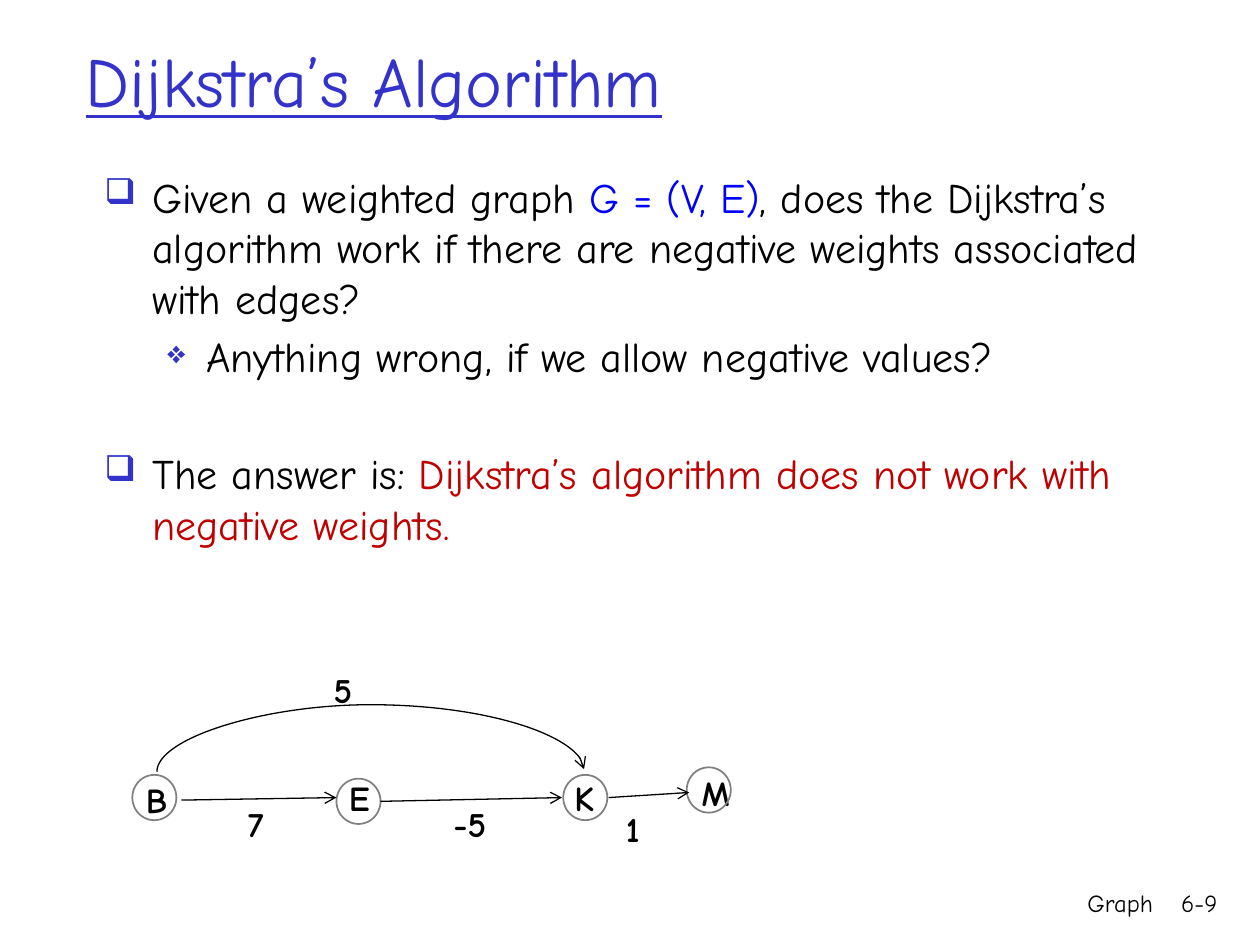
from lxml.etree import SubElement
from pptx import Presentation
from pptx.dml.color import RGBColor
from pptx.enum.shapes import MSO_CONNECTOR, MSO_SHAPE
from pptx.enum.text import MSO_ANCHOR, MSO_AUTO_SIZE, PP_ALIGN
from pptx.oxml.ns import qn
from pptx.util import Emu, Pt

PX = 9144  # 100 px to the inch
FONT = "Comic Neue"
BLACK = RGBColor(0x00, 0x00, 0x00)
INDIGO = RGBColor(0x33, 0x33, 0xCC)
BLUE = RGBColor(0x00, 0x00, 0xFF)
RED = RGBColor(0xC0, 0x00, 0x00)
GRAY = RGBColor(0x80, 0x80, 0x80)

NODE_W, NODE_H = 35, 36
LABEL_H = 44


def px(*lengths):
    return [Emu(length * PX) for length in lengths]


def add_run(paragraph, text, size, color=BLACK, bold=False):
    run = paragraph.add_run()
    run.text = text
    run.font.name = FONT
    run.font.size = Pt(size)
    run.font.bold = bold
    run.font.color.rgb = color
    return run


def set_bullet(paragraph, char, percent, margin, hanging):
    props = paragraph._p.get_or_add_pPr()
    props.set("marL", str(margin * PX))
    props.set("indent", str(-hanging * PX))
    color = SubElement(props, qn("a:buClr"))
    SubElement(color, qn("a:srgbClr"), val=str(INDIGO))
    SubElement(props, qn("a:buSzPct"), val=str(percent * 1000))
    SubElement(props, qn("a:buChar"), char=char)


def add_title(slide, left, top, width, height):
    title = slide.shapes.title
    title.left, title.top, title.width, title.height = px(left, top, width, height)
    frame = title.text_frame
    frame.vertical_anchor = MSO_ANCHOR.MIDDLE
    paragraph = frame.paragraphs[0]
    paragraph.alignment = PP_ALIGN.LEFT
    add_run(paragraph, "Dijkstra’s Algorithm", 40, INDIGO).font.underline = True


def add_question(slide, left, top, width, height):
    # Bullet style: character, size in percent, margin, hanging indent
    main = ("❑", 85, 38, 38)
    sub = ("❖", 75, 81, 31)
    points = [
        (main, 4.8, [("Given a weighted graph ", BLACK), ("G = (V, E)", BLUE),
                     (", does the Dijkstra’s algorithm work if there are negative "
                      "weights associated with edges?", BLACK)]),
        (sub, 4.8, [("Anything wrong, if we allow negative values?", BLACK)]),
        (main, 38, [("The answer is: ", BLACK),
                    ("Dijkstra’s algorithm does not work with negative weights.", RED)]),
    ]
    frame = slide.shapes.add_textbox(*px(left, top, width, height)).text_frame
    frame.word_wrap = True
    for i, (bullet, space, runs) in enumerate(points):
        paragraph = frame.add_paragraph() if i else frame.paragraphs[0]
        paragraph.space_before = Pt(space)
        set_bullet(paragraph, *bullet)
        for text, color in runs:
            add_run(paragraph, text, 24, color)


def add_footer(slide, left, top, height):
    for text, offset, width in [("Graph", 0, 317), ("6-9", 300, 68)]:
        box = slide.shapes.add_textbox(*px(left + offset, top, width, height))
        box.text_frame.word_wrap = True
        paragraph = box.text_frame.paragraphs[0]
        paragraph.alignment = PP_ALIGN.RIGHT
        add_run(paragraph, text, 14)


def add_label(slide, text, left, top, width):
    frame = slide.shapes.add_textbox(*px(left, top, width, LABEL_H)).text_frame
    frame.word_wrap = False
    frame.auto_size = MSO_AUTO_SIZE.SHAPE_TO_FIT_TEXT
    add_run(frame.paragraphs[0], text, 20, bold=True)


def add_node(slide, left, top):
    node = slide.shapes.add_shape(MSO_SHAPE.OVAL, *px(left, top, NODE_W, NODE_H))
    node.shadow.inherit = False
    node.fill.background()
    node.line.color.rgb = GRAY
    node.line.width = Pt(1)


def add_edge(slide, kind, *ends):
    edge = slide.shapes.add_connector(kind, *px(*ends))
    edge.line.color.rgb = BLACK
    edge.line.width = Pt(0.75)
    SubElement(edge.line._get_or_add_ln(), qn("a:tailEnd"), type="arrow")
    SubElement(edge._element.spPr, qn("a:effectLst"))
    return edge


def add_arc(slide, x1, y1, x2, y2, rise):
    # The connector is laid out upright about its centre, then turned by 90°
    span, drop = x2 - x1, y1 - y2
    center_x, center_y = (x1 + x2) // 2, (y1 + y2) // 2
    right, bottom = center_x + drop // 2, center_y + span // 2
    arc = add_edge(slide, MSO_CONNECTOR.CURVE,
                   right, bottom, right - drop, bottom - span)
    arc._element.spPr.find(qn("a:xfrm")).set("rot", str(90 * 60000))
    guides = arc._element.spPr.find(qn("a:prstGeom")).get_or_add_avLst()
    SubElement(guides, qn("a:gd"), name="adj1", fmla=f"val {rise * 100000 // drop}")


def add_graph(slide, left, top):
    # Node letter, circle position, label position and width
    nodes = [
        ("B", 0, 89, 1, 87, 38),
        ("E", 162, 92, 162, 85, 39),
        ("K", 342, 89, 341, 85, 37),
        ("M", 440, 83, 442, 81, 45),
    ]
    for letter, x, y, label_x, label_y, label_w in nodes:
        add_label(slide, letter, left + label_x, top + label_y, label_w)
        add_node(slide, left + x, top + y)

    # Straight edges
    for x1, y1, x2, y2 in [(39, 109, 162, 107), (197, 110, 341, 107),
                           (378, 107, 442, 103)]:
        add_edge(slide, MSO_CONNECTOR.STRAIGHT,
                 left + x1, top + y1, left + x2, top + y2)
    # Edge from B over E to K
    add_arc(slide, left + 20, top + 87, left + 359, top + 85, 53)

    # Edge weights
    for weight, x, y, width in [("5", 150, 0, 37), ("7", 82, 106, 37),
                                ("-5", 245, 106, 55), ("1", 382, 110, 37)]:
        add_label(slide, weight, left + x, top + y, width)


def main():
    prs = Presentation()
    prs.slide_width, prs.slide_height = px(1000, 750)
    slide = prs.slides.add_slide(prs.slide_layouts[5])
    add_title(slide, 58, 25, 850, 77)
    add_question(slide, 73, 131, 850, 145)
    add_footer(slide, 608, 700, 50)
    add_graph(slide, 105, 526)
    prs.save("out.pptx")


if __name__ == "__main__":
    main()
